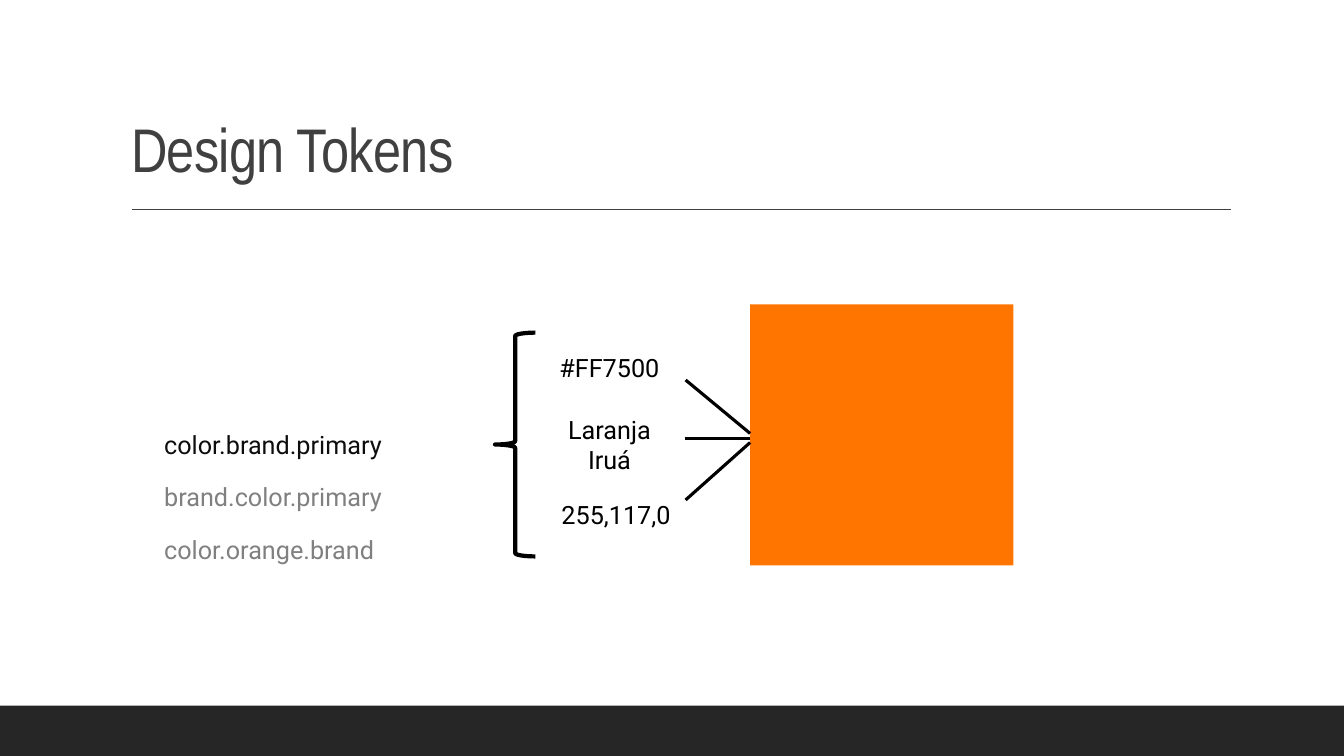
from dataclasses import dataclass

from lxml import etree
from pptx import Presentation
from pptx import util as u
from pptx.dml.color import RGBColor
from pptx.enum import shapes, text
from pptx.oxml.ns import qn
from pptx.shapes.base import BaseShape
from pptx.slide import Slide
from pptx.text.text import TextFrame

PX = 9144  # 100 px to the inch

BLACK = RGBColor(0x00, 0x00, 0x00)
NEAR_BLACK = RGBColor(0x0D, 0x0D, 0x0D)
CHARCOAL = RGBColor(0x26, 0x26, 0x26)
DARK_GRAY = RGBColor(0x40, 0x40, 0x40)
GRAY = RGBColor(0x80, 0x80, 0x80)
ORANGE = RGBColor(0xFF, 0x75, 0x00)


@dataclass(frozen=True)
class Box:
    left: int
    top: int
    width: int
    height: int

    def emu(self) -> list[int]:
        return [n * PX for n in (self.left, self.top, self.width, self.height)]


@dataclass(frozen=True)
class Label:
    wording: str
    box: Box
    color: RGBColor = BLACK
    align: text.PP_ALIGN = text.PP_ALIGN.LEFT


@dataclass(frozen=True)
class Line:
    start: tuple[int, int]
    end: tuple[int, int]
    color: RGBColor = BLACK
    weight: float = 2.25


TOKEN_NAMES = [
    ("color.brand.primary", NEAR_BLACK),
    ("brand.color.primary", GRAY),
    ("color.orange.brand", GRAY),
]
TOKENS = [
    Label(name, Box(153, 421 + 52 * row, 270, 40), color)
    for row, (name, color) in enumerate(TOKEN_NAMES)
]
VALUES = [
    Label("#FF7500", Box(545, 345, 119, 40)),
    Label("Laranja Iruá", Box(545, 406, 119, 71), align=text.PP_ALIGN.CENTER),
    Label("255,117,0", Box(547, 490, 141, 40)),
]
TITLE_RULE = Line((131, 208), (1221, 208), DARK_GRAY, 1)
VALUE_LINES = [
    Line((680, 377), (744, 430)),
    Line((679, 435), (744, 435)),
    Line((680, 496), (744, 439)),
]


def write(frame: TextFrame, wording: str, align: text.PP_ALIGN,
          color: RGBColor, **font_format: object) -> None:
    frame.text = wording
    frame.word_wrap = True
    paragraph = frame.paragraphs[0]
    paragraph.alignment = align
    font = paragraph.runs[0].font
    for name, value in font_format.items():
        setattr(font, name, value)
    font.color.rgb = color


def add_title(slide: Slide, wording: str, box: Box) -> None:
    title = slide.shapes.title
    for name, value in zip(("left", "top", "width", "height"), box.emu()):
        setattr(title, name, value)
    frame = title.text_frame
    write(frame, wording, text.PP_ALIGN.LEFT, DARK_GRAY,
          name="Arial Narrow", size=u.Pt(44))
    frame.auto_size = text.MSO_AUTO_SIZE.NONE
    frame.vertical_anchor = text.MSO_ANCHOR.BOTTOM
    paragraph = frame.paragraphs[0]
    paragraph.line_spacing = 0.9
    paragraph.runs[0].font._element.set("spc", "-50")


def add_label(slide: Slide, label: Label) -> None:
    frame = slide.shapes.add_textbox(*label.box.emu()).text_frame
    write(frame, label.wording, label.align, label.color,
          name="Roboto", size=u.Pt(18))
    frame.auto_size = text.MSO_AUTO_SIZE.SHAPE_TO_FIT_TEXT


def add_line(slide: Slide, line: Line) -> None:
    ends = [n * PX for n in (*line.start, *line.end)]
    connector = slide.shapes.add_connector(shapes.MSO_CONNECTOR.STRAIGHT, *ends)
    connector.line.color.rgb = line.color
    connector.line.width = u.Pt(line.weight)
    etree.SubElement(connector._element.spPr, qn("a:effectLst"))


def add_plain_shape(slide: Slide, kind: shapes.MSO_SHAPE, box: Box) -> BaseShape:
    shape = slide.shapes.add_shape(kind, *box.emu())
    shape.shadow.inherit = False
    return shape


def add_block(slide: Slide, box: Box, color: RGBColor) -> None:
    block = add_plain_shape(slide, shapes.MSO_SHAPE.RECTANGLE, box)
    block.fill.solid()
    block.fill.fore_color.rgb = color
    block.line.fill.background()


def add_brace(slide: Slide, box: Box) -> None:
    brace = add_plain_shape(slide, shapes.MSO_SHAPE.LEFT_BRACE, box)
    brace.fill.background()
    brace.line.color.rgb = BLACK
    brace.line.width = u.Pt(3)


def main() -> None:
    presentation = Presentation()
    presentation.slide_width = 1333 * PX
    presentation.slide_height = 750 * PX
    slide = presentation.slides.add_slide(presentation.slide_layouts[5])

    # Title and slide frame
    add_block(slide, Box(0, 700, 1333, 50), CHARCOAL)
    add_line(slide, TITLE_RULE)
    add_title(slide, "Design Tokens", Box(120, 30, 1100, 159))

    # Colour swatch with its values
    add_block(slide, Box(744, 302, 261, 259), ORANGE)
    for line in VALUE_LINES:
        add_line(slide, line)
    for label in VALUES:
        add_label(slide, label)

    # Token names the values belong to
    add_brace(slide, Box(491, 330, 40, 222))
    for label in TOKENS:
        add_label(slide, label)

    presentation.save("out.pptx")


if __name__ == "__main__":
    main()
